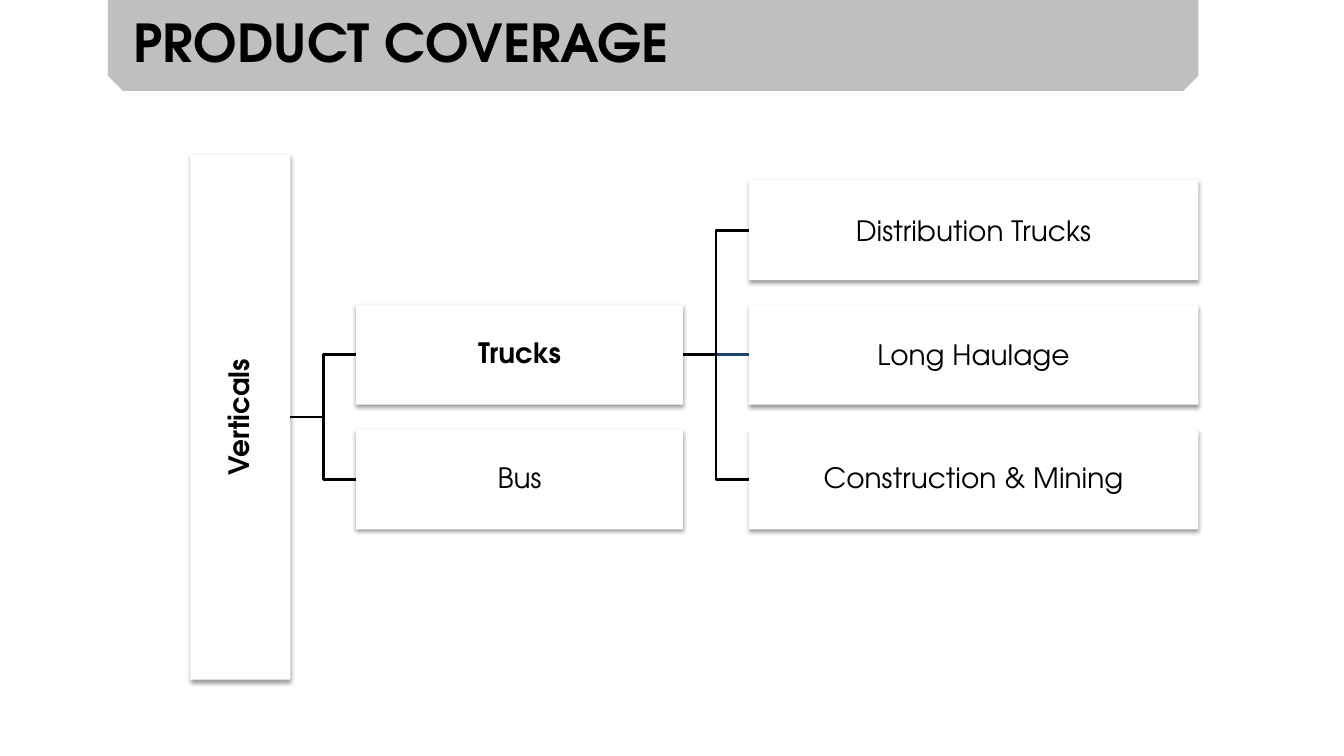
"""Build the product coverage slide with its hierarchy of verticals."""
import lxml.etree
import pptx
import pptx.dml.color
import pptx.enum.shapes
import pptx.enum.text
import pptx.oxml
import pptx.oxml.ns
import pptx.util

Cm = pptx.util.Cm
Pt = pptx.util.Pt
Shapes = pptx.enum.shapes.MSO_SHAPE
Align = pptx.enum.text.PP_ALIGN
Anchor = pptx.enum.text.MSO_ANCHOR
AutoSize = pptx.enum.text.MSO_AUTO_SIZE

SHADOW = (
    f'<a:effectLst {pptx.oxml.ns.nsdecls("a")}>'
    '<a:outerShdw blurRad="39400" dist="20300" dir="5400000" rotWithShape="0">'
    '<a:srgbClr val="000000"><a:alpha val="38000"/></a:srgbClr>'
    '</a:outerShdw></a:effectLst>'
)


def color(value):
    return pptx.dml.color.RGBColor.from_string(value)


def apply(target, values):
    for name, value in values.items():
        setattr(target, name, value)


class Diagram:
    font = "TeX Gyre Adventor"
    ink = "000000"
    inset = Cm(0.03)

    def __init__(self, page):
        self.page = page

    def label(self, frame, text, size, bold, layout):
        para = frame.paragraphs[0]
        apply(para, layout)
        span = para.add_run()
        span.text = text
        apply(span.font, {"name": self.font, "size": Pt(size), "bold": bold})
        span.font.color.rgb = color(self.ink)

    def shape(self, kind, left, top, width, height, fill, rotation=0):
        shape = self.page.shapes.add_shape(
            kind, Cm(left), Cm(top), Cm(width), Cm(height))
        shape.rotation = rotation
        shape.shadow.inherit = False
        shape.fill.solid()
        shape.fill.fore_color.rgb = color(fill)
        shape.line.fill.background()
        return shape

    def title(self, text, left, top, width, height):
        box = self.page.shapes.add_textbox(
            Cm(left), Cm(top), Cm(width), Cm(height))
        apply(box.text_frame,
              {"word_wrap": True, "auto_size": AutoSize.SHAPE_TO_FIT_TEXT})
        self.label(box.text_frame, text, 37.3, True, {"alignment": Align.LEFT})

    def card(self, text, left, top, width, height, bold=False, spacing=0.9,
             rotation=0):
        box = self.shape(Shapes.RECTANGLE, left, top, width, height, "FFFFFF",
                         rotation)
        properties = box._element.spPr
        properties.remove(properties.find(pptx.oxml.ns.qn("a:effectLst")))
        properties.append(pptx.oxml.parse_xml(SHADOW))
        margins = {f"margin_{side}": self.inset
                   for side in ("left", "top", "right", "bottom")}
        apply(box.text_frame, {"word_wrap": True,
                               "vertical_anchor": Anchor.MIDDLE, **margins})
        self.label(box.text_frame, text, 20, bold,
                   {"alignment": Align.CENTER, "line_spacing": spacing})
        return box

    def elbow(self, left, start, right, end):
        middle = (left + right) / 2
        builder = self.page.shapes.build_freeform(Cm(left), Cm(start))
        builder.add_line_segments(
            [(Cm(middle), Cm(start)), (Cm(middle), Cm(end)),
             (Cm(right), Cm(end))], close=False)
        branch = builder.convert_to_shape()
        branch.shadow.inherit = False
        branch.fill.background()
        self.stroke(branch, self.ink)

    def link(self, source, target, value):
        line = self.page.shapes.add_connector(
            pptx.enum.shapes.MSO_CONNECTOR.STRAIGHT, 0, 0, 0, 0)
        line.begin_connect(source, 3)
        line.end_connect(target, 1)
        self.stroke(line, value)
        lxml.etree.SubElement(line._element.spPr,
                              pptx.oxml.ns.qn("a:effectLst"))

    def stroke(self, line, value):
        line.line.color.rgb = color(value)
        line.line.width = Pt(2)


def main():
    deck = pptx.Presentation()
    apply(deck, {"slide_width": Cm(33.87), "slide_height": Cm(19.05)})
    diagram = Diagram(deck.slides.add_slide(deck.slide_layouts[6]))

    diagram.shape(Shapes.SNIP_2_SAME_RECTANGLE, 2.72, 0, 27.48, 2.29,
                  "BFBFBF", 180)
    diagram.title("PRODUCT COVERAGE", 3.12, 0.13, 29.06, 1.85)

    height = 2.52
    rows = [4.54 + 3.14 * row for row in range(3)]
    upper, center, lower = [top + height / 2 for top in rows]
    trunk = (center + lower) / 2
    root_left, root_length = 4.8, 13.23
    root_right = root_left + height
    type_left, type_width = 8.97, 8.25
    type_right = type_left + type_width
    segment_left, segment_width = 18.87, 11.33

    diagram.card("Verticals", root_left + (height - root_length) / 2,
                 trunk - height / 2, root_length, height, True, rotation=270)
    trucks = diagram.card("Trucks", type_left, rows[1], type_width, height,
                          True)
    diagram.card("Bus", type_left, rows[2], type_width, height)
    segments = [
        diagram.card(text, segment_left, top, segment_width, height,
                     spacing=spacing)
        for top, (text, spacing) in zip(rows, (
            ("Distribution Trucks", 1.0),
            ("Long Haulage", 1.0),
            ("Construction & Mining", 0.9)))
    ]

    diagram.link(trucks, segments[1], "1C4271")
    for end in (upper, lower):
        diagram.elbow(type_right, center, segment_left, end)
    for end in (center, lower):
        diagram.elbow(root_right, trunk, type_left, end)

    deck.save("out.pptx")


if __name__ == "__main__":
    main()
